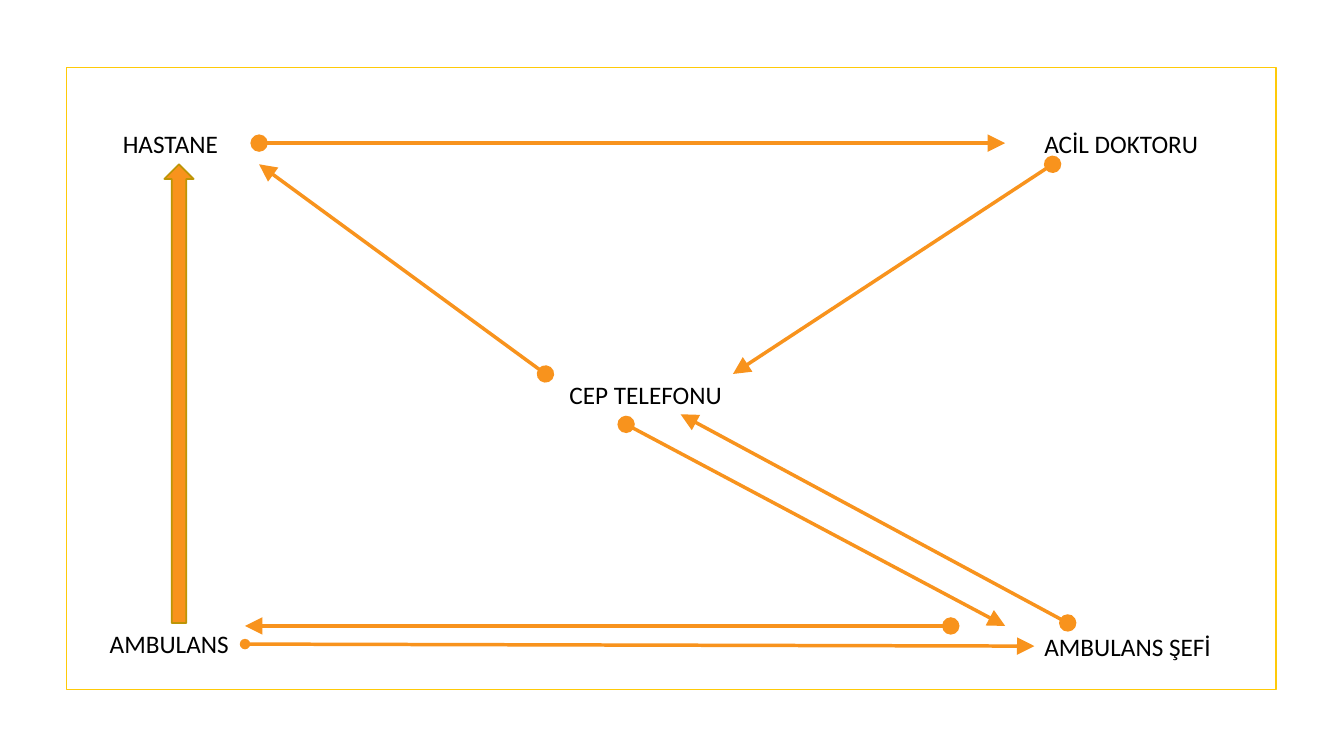
import dataclasses

import lxml.etree
import pptx
import pptx.dml.color
import pptx.enum.shapes
import pptx.enum.text
import pptx.oxml.ns
import pptx.util

Inches = pptx.util.Inches
Pt = pptx.util.Pt
RGB = pptx.dml.color.RGBColor
ShapeKind = pptx.enum.shapes.MSO_SHAPE
qn = pptx.oxml.ns.qn


@dataclasses.dataclass(frozen=True)
class Theme:
    """Colours, font, type size and line widths of the deck."""
    frame: RGB = RGB(0xFF, 0xCA, 0x08)
    flow: RGB = RGB(0xF8, 0x93, 0x1D)
    outline: RGB = RGB(0xBD, 0x95, 0x06)
    text: RGB = RGB(0, 0, 0)
    font: str = "Calibri"
    text_size: float = 18
    outline_width: float = 1.25
    flow_width: float = 2.5


@dataclasses.dataclass(frozen=True)
class Box:
    """A region of the page in inches."""
    left: float
    top: float
    width: float
    height: float

    def lengths(self):
        """Return the four measures as lengths."""
        return [Inches(n) for n in (self.left, self.top, self.width, self.height)]

    def inner(self, left, top, width, height):
        """Return a box placed relative to this one."""
        return Box(self.left + left, self.top + top, width, height)


THEME = Theme()
FRAME = Box(0.66, 0.67, 12, 6.17)

STATIONS = [
    ("AMBULANS", (0.33, 5.51, 1.44, 0.4), True),
    ("HASTANE", (0.46, 0.55, 1.96, 0.41), True),
    ("AMBULANS ŞEFİ", (9.6, 5.54, 1.91, 0.4), True),
    ("ACİL DOKTORU", (9.6, 0.55, 1.74, 0.4), False),
    ("CEP TELEFONU", (4.89, 3.04, 1.73, 0.4), False),
]

CALLS = [
    ((1.77, 5.72), (9.6, 5.74), "med"),
    ((4.75, 3.04), (1.91, 0.96), "lg"),
    ((1.91, 0.75), (9.31, 0.75), "lg"),
    ((9.78, 0.96), (6.61, 3.04), "lg"),
    ((9.93, 5.51), (6.09, 3.44), "lg"),
    ((5.55, 3.54), (9.31, 5.54), "lg"),
    ((8.77, 5.54), (1.77, 5.54), "lg"),
]

TRANSPORT = (0.97, 0.96, 0.29, 4.55)


def add_outlined(page, kind, box, line, fill=None):
    """Draw a preset shape with an outline and an optional fill."""
    shape = page.shapes.add_shape(kind, *box.lengths())
    shape.shadow.inherit = False
    if fill is None:
        shape.fill.background()
    else:
        shape.fill.solid()
        shape.fill.fore_color.rgb = fill
    shape.line.color.rgb = line
    shape.line.width = Pt(THEME.outline_width)


def add_station(page, box, name, wrap):
    """Write the name of one station in its box."""
    frame = page.shapes.add_textbox(*box.lengths()).text_frame
    frame.word_wrap = wrap
    frame.auto_size = pptx.enum.text.MSO_AUTO_SIZE.SHAPE_TO_FIT_TEXT
    span = frame.paragraphs[0].add_run()
    span.text = name
    span.font.name = THEME.font
    span.font.size = Pt(THEME.text_size)
    span.font.color.rgb = THEME.text


def add_call(page, box, start, end, dot_size):
    """Draw a line from a dot to an arrowhead inside the box."""
    ends = [Inches(n) for x, y in (start, end) for n in (box.left + x, box.top + y)]
    call = page.shapes.add_connector(
        pptx.enum.shapes.MSO_CONNECTOR.STRAIGHT, *ends)
    call.line.color.rgb = THEME.flow
    call.line.width = Pt(THEME.flow_width)
    line = call.line._get_or_add_ln()
    for tag, kind, size in (("a:headEnd", "oval", dot_size),
                            ("a:tailEnd", "triangle", "lg")):
        lxml.etree.SubElement(line, qn(tag), type=kind, w=size, len=size)
    lxml.etree.SubElement(call._element.spPr, qn("a:effectLst"))


def add_communication_map(page, box):
    """Draw the frame, the stations and the flows between them."""
    add_outlined(page, ShapeKind.RECTANGLE, box, THEME.frame)
    for name, place, wrap in STATIONS:
        add_station(page, box.inner(*place), name, wrap)
    for start, end, dot_size in CALLS:
        add_call(page, box, start, end, dot_size)
    add_outlined(page, ShapeKind.UP_ARROW, box.inner(*TRANSPORT),
                 THEME.outline, THEME.flow)


def main():
    """Build and save the deck."""
    deck = pptx.Presentation()
    deck.slide_width = Inches(13.33)
    deck.slide_height = Inches(7.5)
    page = deck.slides.add_slide(deck.slide_layouts[6])
    add_communication_map(page, FRAME)
    deck.save("out.pptx")


if __name__ == "__main__":
    main()
